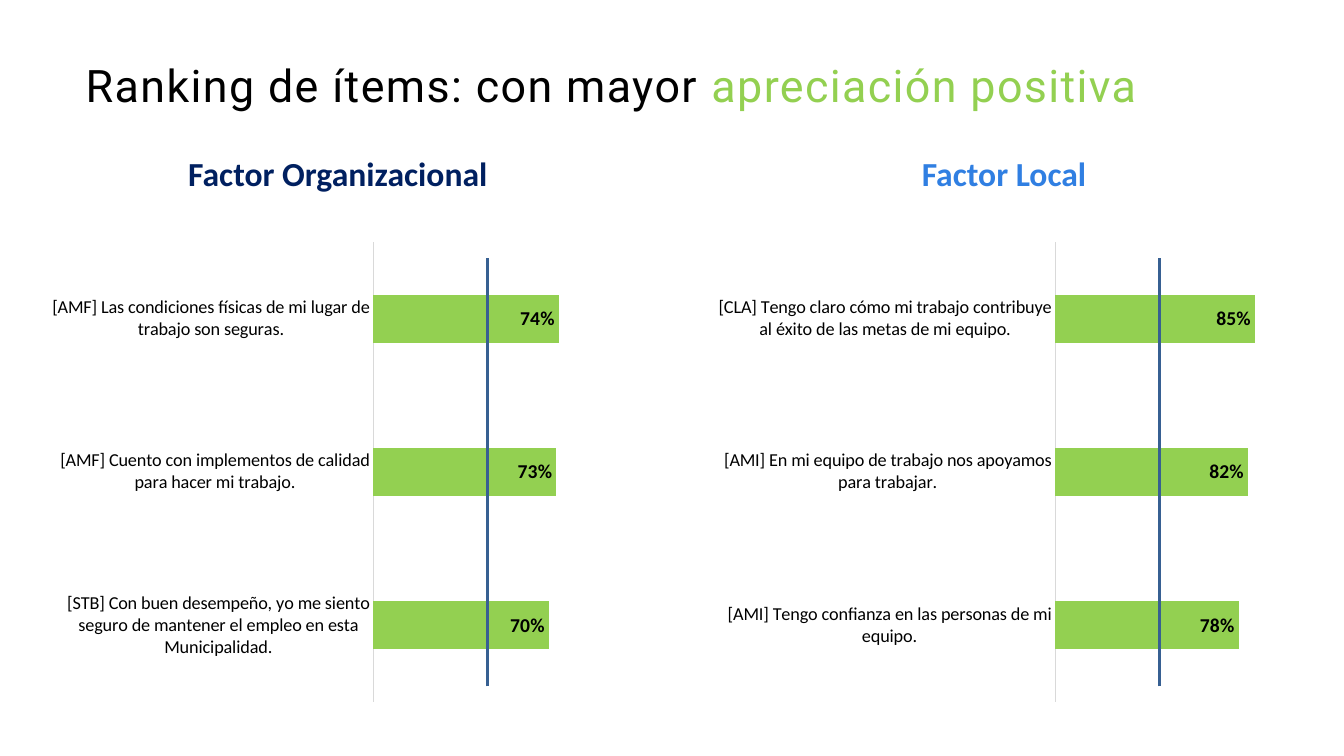
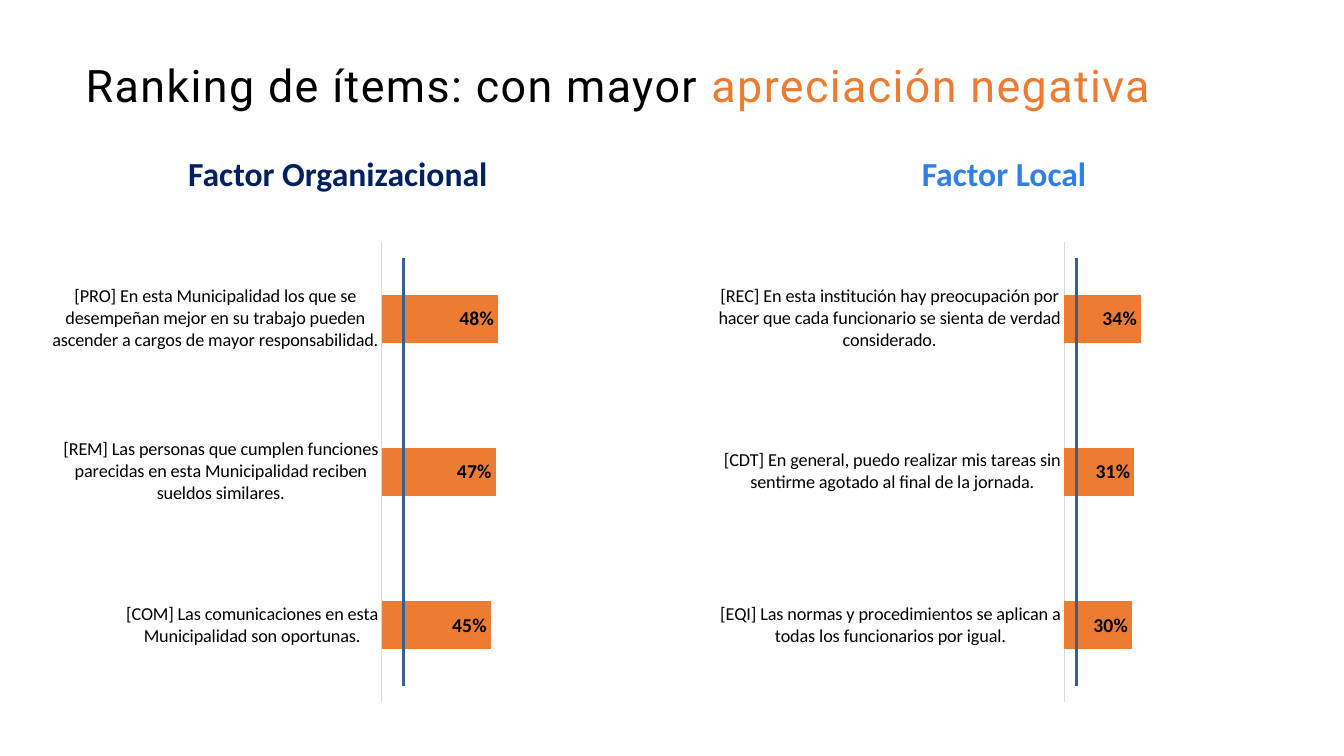
from dataclasses import dataclass

from lxml import etree
from pptx import Presentation
from pptx.chart.data import CategoryChartData
from pptx.dml.color import RGBColor
from pptx.enum.chart import XL_CHART_TYPE, XL_LABEL_POSITION, XL_TICK_MARK
from pptx.enum.shapes import MSO_CONNECTOR
from pptx.enum.text import MSO_ANCHOR, PP_ALIGN
from pptx.oxml.ns import qn
from pptx.presentation import Presentation as Deck
from pptx.shapes.connector import Connector
from pptx.slide import Slide
from pptx.text.text import Font
from pptx.util import Pt

BAR_CLUSTERED = XL_CHART_TYPE.BAR_CLUSTERED
INSIDE_END = XL_LABEL_POSITION.INSIDE_END
NO_TICK = XL_TICK_MARK.NONE
STRAIGHT = MSO_CONNECTOR.STRAIGHT
MIDDLE = MSO_ANCHOR.MIDDLE
CENTER = PP_ALIGN.CENTER
BLANK_LAYOUT = 6

COLORS = {
    "text": "000000",
    "chart_text": "FFFFFF",
    "positive": "93D051",
    "negative": "EC7C31",
    "organizational": "002060",
    "local": "307FE2",
    "reference": "376092",
    "axis": "D9D9D9",
}
TITLE_FONT = "Roboto"
BODY_FONT = "Calibri"
TITLE_START = "Ranking de ítems: con mayor "
LETTER_SPACING = "100"
LINE_SPACING = 0.9

HEADING_TOP, HEADING_WIDTH, HEADING_HEIGHT = 113.8, 363, 23.8
CHART_TOP, CHART_WIDTH, CHART_HEIGHT = 166.3, 425.5, 342
REFERENCE_TOP, REFERENCE_BOTTOM = 184.3, 490.3


@dataclass(frozen=True)
class Factor:
    heading: str
    color: str
    heading_left: float
    chart_left: float


@dataclass(frozen=True)
class Panel:
    factor: Factor
    reference_x: float
    items: dict[str, float]


@dataclass(frozen=True)
class Ranking:
    title_end: str
    color: str
    panels: tuple[Panel, ...]


ORGANIZATIONAL = Factor("Factor Organizacional", "organizational", 59.8, 28.8)
LOCAL = Factor("Factor Local", "local", 535.7, 504.7)

RANKINGS = (
    Ranking("apreciación positiva", "positive", (
        Panel(ORGANIZATIONAL, 348.5, {
            "[STB] Con buen desempeño, yo me siento seguro de mantener el empleo en esta Municipalidad.": 0.70,
            "[AMF] Cuento con implementos de calidad para hacer mi trabajo.": 0.73,
            "[AMF] Las condiciones físicas de mi lugar de trabajo son seguras.": 0.74,
        }),
        Panel(LOCAL, 828, {
            "[AMI] Tengo confianza en las personas de mi equipo.": 0.78,
            "[AMI] En mi equipo de trabajo nos apoyamos para trabajar.": 0.82,
            "[CLA] Tengo claro cómo mi trabajo contribuye al éxito de las metas de mi equipo.": 0.85,
        }),
    )),
    Ranking("apreciación negativa", "negative", (
        Panel(ORGANIZATIONAL, 288, {
            "[COM] Las comunicaciones en esta Municipalidad son oportunas.": 0.45,
            "[REM] Las personas que cumplen funciones parecidas en esta Municipalidad reciben sueldos similares.": 0.47,
            "[PRO] En esta Municipalidad los que se desempeñan mejor en su trabajo pueden ascender a cargos de mayor responsabilidad.": 0.48,
        }),
        Panel(LOCAL, 769, {
            "[EQI] Las normas y procedimientos se aplican a todas los funcionarios por igual.": 0.30,
            "[CDT] En general, puedo realizar mis tareas sin sentirme agotado al final de la jornada.": 0.31,
            "[REC] En esta institución hay preocupación por hacer que cada funcionario se sienta de verdad considerado.": 0.34,
        }),
    )),
)


def rgb(color: str) -> RGBColor:
    return RGBColor.from_string(COLORS[color])


def style_font(font: Font, name: str, size: float, color: str, bold: bool = False) -> None:
    font.name = name
    font.size = Pt(size)
    font.bold = bold
    font.color.rgb = rgb(color)


def add_title(slide: Slide, ranking: Ranking) -> None:
    shape = slide.shapes.add_textbox(Pt(61.2), Pt(24.5), Pt(848), Pt(76.3))
    frame = shape.text_frame
    frame.word_wrap = True
    frame.vertical_anchor = MIDDLE
    frame.margin_left = frame.margin_right = frame.margin_top = frame.margin_bottom = 0
    paragraph = frame.paragraphs[0]
    paragraph.line_spacing = LINE_SPACING
    for text, color in ((TITLE_START, "text"), (ranking.title_end, ranking.color)):
        run = paragraph.add_run()
        run.text = text
        style_font(run.font, TITLE_FONT, 32, color)
    for properties in shape.element.iter(qn("a:rPr")):
        properties.set("spc", LETTER_SPACING)


def add_heading(slide: Slide, factor: Factor) -> None:
    shape = slide.shapes.add_textbox(
        Pt(factor.heading_left), Pt(HEADING_TOP), Pt(HEADING_WIDTH), Pt(HEADING_HEIGHT))
    frame = shape.text_frame
    frame.word_wrap = True
    frame.vertical_anchor = MIDDLE
    paragraph = frame.paragraphs[0]
    paragraph.text = factor.heading
    paragraph.alignment = CENTER
    paragraph.line_spacing = LINE_SPACING
    style_font(paragraph.font, BODY_FONT, 24, factor.color, bold=True)


def add_bar_chart(slide: Slide, panel: Panel, color: str) -> None:
    data = CategoryChartData(number_format="0%")
    data.categories = list(panel.items)
    data.add_series("Series 1", list(panel.items.values()))
    chart = slide.shapes.add_chart(
        BAR_CLUSTERED, Pt(panel.factor.chart_left), Pt(CHART_TOP),
        Pt(CHART_WIDTH), Pt(CHART_HEIGHT), data).chart
    chart.has_legend = False
    chart.has_title = False
    style_font(chart.font, BODY_FONT, 10, "chart_text")

    category_axis = chart.category_axis
    category_axis.major_tick_mark = category_axis.minor_tick_mark = NO_TICK
    category_axis.format.line.color.rgb = rgb("axis")
    category_axis.format.line.width = Pt(0.75)
    style_font(category_axis.tick_labels.font, BODY_FONT, 13, "text")

    value_axis = chart.value_axis
    value_axis.minimum_scale = 0
    value_axis.maximum_scale = 1
    value_axis.has_major_gridlines = False
    value_axis.visible = False

    plot = chart.plots[0]
    plot.gap_width = 219
    plot.vary_by_categories = False
    series = plot.series[0]
    series.format.fill.solid()
    series.format.fill.fore_color.rgb = rgb(color)
    labels = series.data_labels
    labels.show_value = True
    labels.position = INSIDE_END
    labels.number_format = "0%"
    labels.number_format_is_linked = False
    style_font(labels.font, BODY_FONT, 14, "text", bold=True)


def add_reference_line(slide: Slide, x: float) -> Connector:
    connector = slide.shapes.add_connector(
        STRAIGHT, Pt(x), Pt(REFERENCE_BOTTOM), Pt(x), Pt(REFERENCE_TOP))
    connector.line.color.rgb = rgb("reference")
    connector.line.width = Pt(2)
    etree.SubElement(connector.element.spPr, qn("a:effectLst"))
    return connector


def add_ranking_slide(presentation: Deck, ranking: Ranking) -> None:
    slide = presentation.slides.add_slide(presentation.slide_layouts[BLANK_LAYOUT])
    add_title(slide, ranking)
    for panel in ranking.panels:
        add_heading(slide, panel.factor)
        add_bar_chart(slide, panel, ranking.color)
        add_reference_line(slide, panel.reference_x)


def main() -> None:
    presentation = Presentation()
    presentation.slide_width = Pt(960)
    presentation.slide_height = Pt(540)
    for ranking in RANKINGS:
        add_ranking_slide(presentation, ranking)
    presentation.save("out.pptx")


if __name__ == "__main__":
    main()
